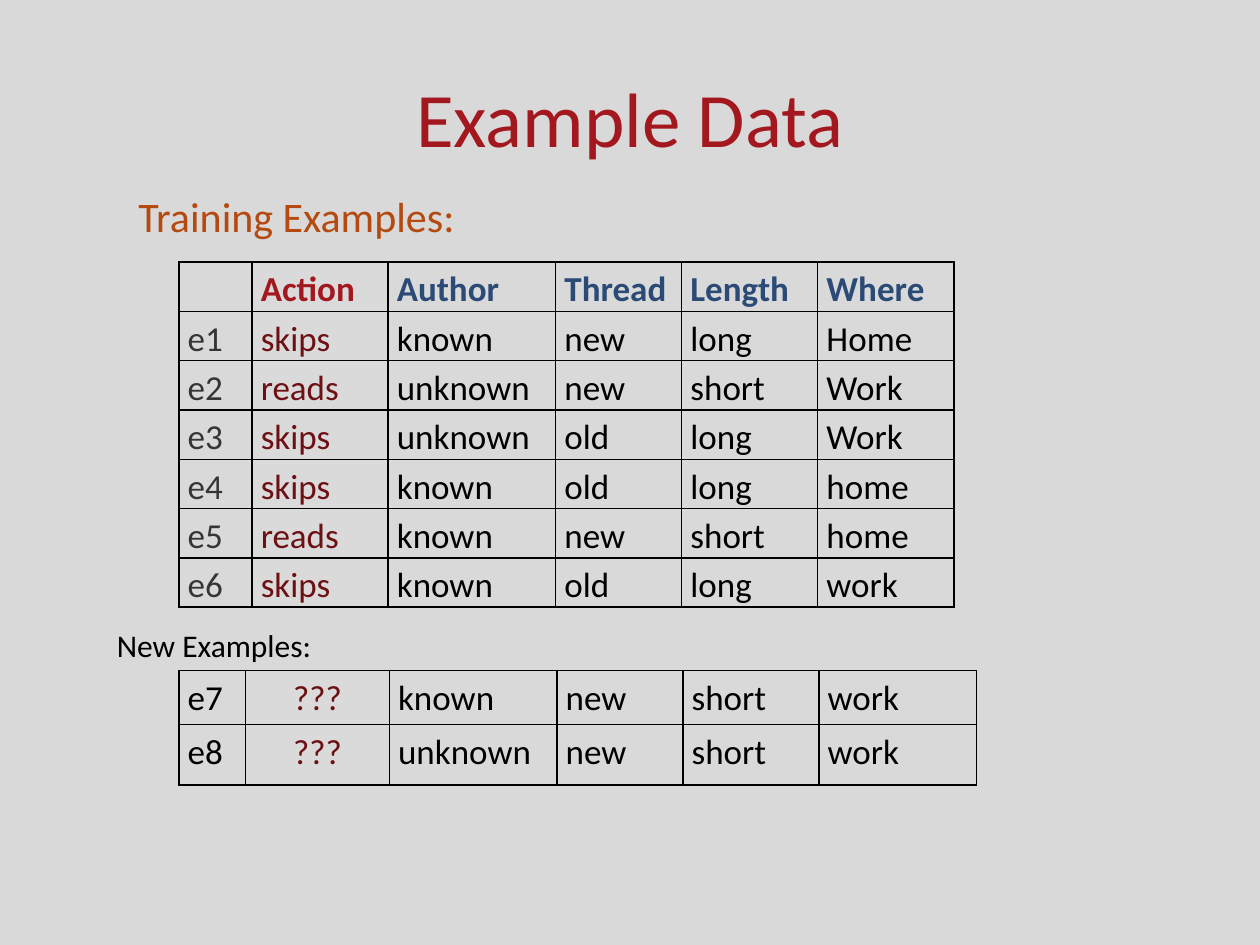
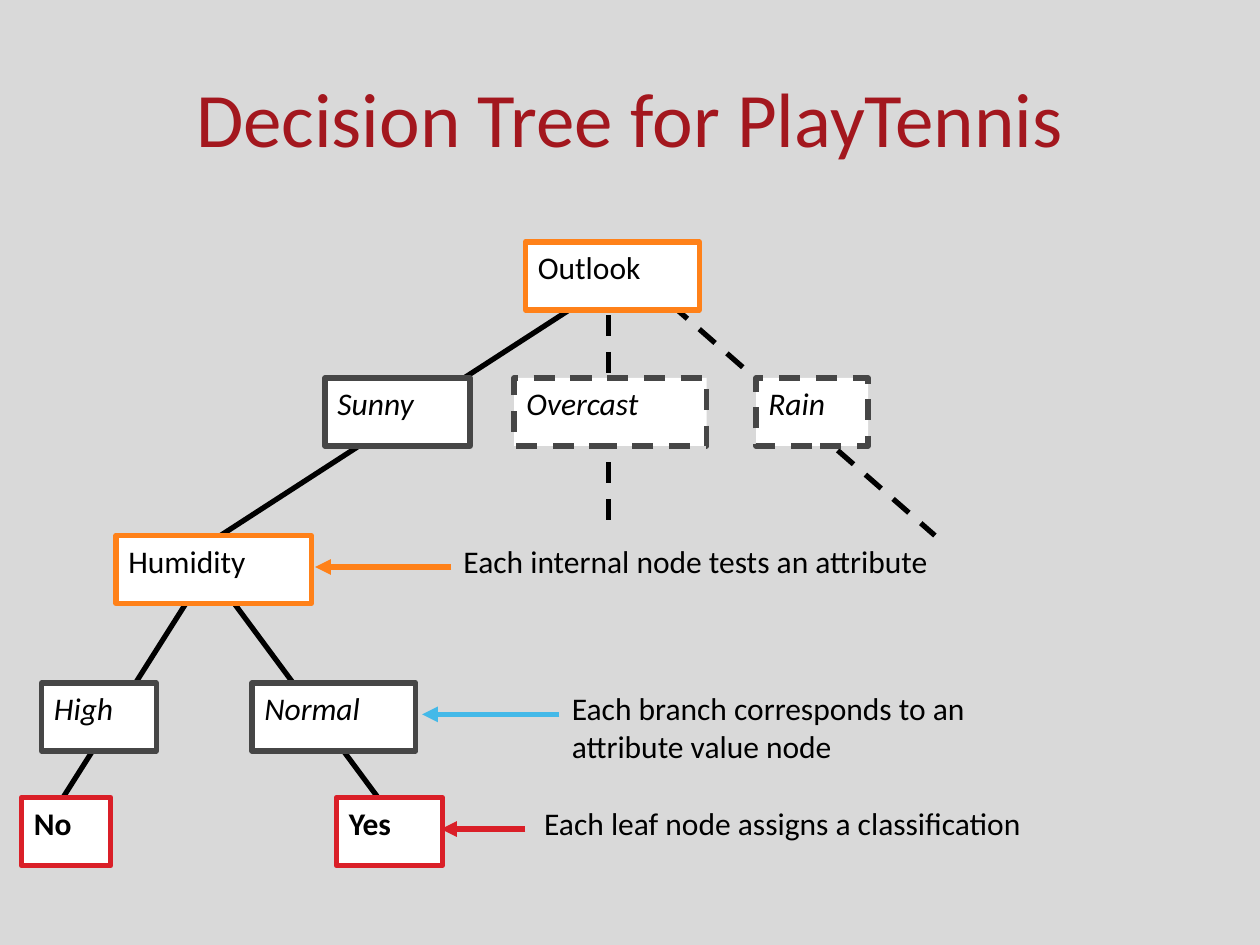
from dataclasses import dataclass

from lxml.etree import SubElement
from pptx import Presentation
from pptx.dml.color import RGBColor
from pptx.enum.dml import MSO_LINE_DASH_STYLE as Dash
from pptx.enum.shapes import MSO_CONNECTOR_TYPE as Connector, MSO_SHAPE as Shape
from pptx.enum.text import MSO_ANCHOR as Anchor, MSO_AUTO_SIZE as AutoSize, PP_ALIGN as Align
from pptx.oxml.ns import qn
from pptx.util import Inches, Pt


@dataclass(frozen=True)
class Theme:
    font: str = "Calibri"
    background: str = "D9D9D9"
    title: str = "A3171E"
    heading: str = "B54A10"
    attribute: str = "2B4A76"
    example: str = "353535"
    action: str = "6D1014"
    action_fill: str = "DADADA"
    text: str = "000000"
    box: str = "FFFFFF"
    test: str = "FF8119"
    value: str = "464646"
    leaf: str = "DA1F28"
    branch: str = "44B9E8"
    title_size: int = 44
    heading_size: int = 24
    table_size: int = 20
    body_size: int = 18
    stroke: int = 3


THEME = Theme()

HEADER = ["", "Action", "Author", "Thread", "Length", "Where"]
TRAINING = [
    ["e1", "skips", "known", "new", "long", "Home"],
    ["e2", "reads", "unknown", "new", "short", "Work"],
    ["e3", "skips", "unknown", "old", "long", "Work"],
    ["e4", "skips", "known", "old", "long", "home"],
    ["e5", "reads", "known", "new", "short", "home"],
    ["e6", "skips", "known", "old", "long", "work"],
]
NEW = [
    ["e7", "???", "known", "new", "short", "work"],
    ["e8", "???", "unknown", "new", "short", "work"],
]

OUTLOOK_TOP, WEATHER_TOP, HUMIDITY_TOP, LEVEL_TOP, LEAF_TOP = 1.92, 3, 4.25, 5.42, 6.33
NODE_HEIGHT = 0.54
BRANCHES = [
    ((4.58, 2.42), (1.75, HUMIDITY_TOP), None),
    ((5.33, 2.42), (7.42, HUMIDITY_TOP), Dash.DASH),
    ((1.5, 4.75), (0.5, LEAF_TOP), None),
    ((1.83, 4.75), (3, LEAF_TOP), None),
    ((4.83, 2.5), (4.83, HUMIDITY_TOP), Dash.DASH),
]
NODES = [
    ("Outlook", 4.17, OUTLOOK_TOP, 1.38, "test", None),
    ("Sunny", 2.58, WEATHER_TOP, 1.15, "value", None),
    ("Overcast", 4.08, WEATHER_TOP, 1.53, "value", Dash.DASH),
    ("Rain", 6, WEATHER_TOP, 0.89, "value", Dash.DASH),
    ("Humidity", 0.92, HUMIDITY_TOP, 1.55, "test", None),
    ("High", 0.33, LEVEL_TOP, 0.91, "value", None),
    ("Normal", 2, LEVEL_TOP, 1.3, "value", None),
    ("No", 0.17, LEAF_TOP, 0.71, "leaf", None),
    ("Yes", 2.67, LEAF_TOP, 0.84, "leaf", None),
]
NODE_FONTS = {"test": {}, "value": {"italic": True}, "leaf": {"bold": True}}
REMARKS = [
    (["Each internal node tests an attribute"],
     (3.58, HUMIDITY_TOP, 5.56, 0.5), 3.58, 2.5, THEME.test),
    (["Each branch corresponds to an", "attribute value node"],
     (4.44, LEVEL_TOP, 4.76, 0.9), 4.44, 3.35, THEME.branch),
    (["Each leaf node assigns a classification"],
     (4.22, LEAF_TOP, 5.78, 0.5), 4.17, 3.5, THEME.leaf),
]


def rgb(code):
    return RGBColor.from_string(code)


def apply(target, formats):
    for attribute, setting in formats.items():
        setattr(target, attribute, setting)


def inches(*lengths):
    return [Inches(length) for length in lengths]


def write(frame, lines, size, color, paragraph_format=None, **font_format):
    for index, line in enumerate(lines):
        paragraph = frame.paragraphs[0] if index == 0 else frame.add_paragraph()
        apply(paragraph, {"alignment": Align.LEFT, **(paragraph_format or {})})
        run = paragraph.add_run()
        run.text = line
        apply(run.font, {"name": THEME.font, "size": Pt(size), **font_format})
        run.font.color.rgb = rgb(color)


def style_frame(frame, anchor=Anchor.TOP):
    apply(frame, {"word_wrap": True, "auto_size": AutoSize.NONE, "vertical_anchor": anchor})


def add_titled_slide(deck, title):
    slide = deck.slides.add_slide(deck.slide_layouts.get_by_name("Title Only"))
    heading = slide.shapes.title
    apply(heading, dict(zip(("left", "top", "width", "height"), inches(0.5, 0.3, 9, 1.25))))
    style_frame(heading.text_frame, Anchor.MIDDLE)
    write(heading.text_frame, [title], THEME.title_size, THEME.title,
          {"alignment": Align.CENTER})
    return slide


def add_label(shapes, lines, place, size=THEME.body_size, color=THEME.text):
    label = shapes.add_textbox(*inches(*place))
    style_frame(label.text_frame)
    write(label.text_frame, lines, size, color)


def add_line(shapes, start, end, color=THEME.text, dash=None, arrow=False):
    link = shapes.add_connector(Connector.STRAIGHT, *inches(*start, *end))
    link.line.color.rgb = rgb(color)
    apply(link.line, {"width": Pt(THEME.stroke), "dash_style": dash})
    if arrow:
        SubElement(link.line._get_or_add_ln(), qn("a:tailEnd"), type="triangle")
    SubElement(link._element.spPr, qn("a:effectLst"))


def add_node(shapes, name, left, top, width, role, dash):
    node = shapes.add_shape(Shape.RECTANGLE, *inches(left, top, width, NODE_HEIGHT))
    node.shadow.inherit = False
    node.fill.solid()
    node.fill.fore_color.rgb = rgb(THEME.box)
    node.line.color.rgb = rgb(getattr(THEME, role))
    apply(node.line, {"width": Pt(THEME.stroke), "dash_style": dash})
    style_frame(node.text_frame)
    write(node.text_frame, [name], THEME.body_size, THEME.text, **NODE_FONTS[role])


def add_remark(shapes, lines, place, start, end, color):
    remark = shapes.add_group_shape()
    add_label(remark.shapes, lines, place)
    level = place[1] + 0.25
    add_line(remark.shapes, (start, level), (end, level), color, arrow=True)


def border_cell(cell):
    properties = cell._tc.get_or_add_tcPr()
    for side in ("lnL", "lnR", "lnT", "lnB"):
        edge = SubElement(properties, qn(f"a:{side}"), w=str(Pt(1)))
        fill = SubElement(edge, qn("a:solidFill"))
        SubElement(fill, qn("a:srgbClr"), val=THEME.text)


def fill_cell(cell, text, color, is_action, **formats):
    border_cell(cell)
    apply(cell, dict(zip(("margin_left", "margin_top", "margin_right", "margin_bottom"),
                         inches(0.07, 0, 0.07, 0))))
    if is_action:
        cell.fill.solid()
        cell.fill.fore_color.rgb = rgb(THEME.action_fill)
    else:
        cell.fill.background()
    if text:
        align = Align.CENTER if text == "???" else Align.LEFT
        write(cell.text_frame, [text], THEME.table_size, color,
              {"alignment": align, "line_spacing": 1.15}, **formats)


def add_examples(slide, records, left, top, widths, heights, example_color, header=False):
    frame = slide.shapes.add_table(len(records), len(widths),
                                   *inches(left, top, sum(widths), sum(heights)))
    table = frame.table
    apply(table, {"first_row": False, "horz_banding": False})
    for column, width in zip(table.columns, widths):
        column.width = Inches(width)
    for row, height in zip(table.rows, heights):
        row.height = Inches(height)
    header_colors = [THEME.text, THEME.title] + [THEME.attribute] * 4
    record_colors = [example_color, THEME.action] + [THEME.text] * 4
    for r, record in enumerate(records):
        is_header = header and r == 0
        colors = header_colors if is_header else record_colors
        for c, (text, color) in enumerate(zip(record, colors)):
            fill_cell(table.cell(r, c), text, color, c == 1, bold=is_header)


def build_example_data(deck):
    slide = add_titled_slide(deck, "Example Data")
    add_examples(slide, [HEADER] + TRAINING, 1.42, 2.08,
                 [0.58, 1.08, 1.33, 1, 1.08, 1.08], [0.39] * 7, THEME.example, header=True)
    add_examples(slide, NEW, 1.42, 5.32,
                 [0.53, 1.14, 1.33, 1, 1.08, 1.25], [0.43, 0.48], THEME.text)
    add_label(slide.shapes, ["Training Examples:"], (1, 1.46, 2.8, 0.5),
              THEME.heading_size, THEME.heading)
    add_label(slide.shapes, ["New Examples:"], (0.83, 4.92, 1.8, 0.4))


def build_decision_tree(deck):
    slide = add_titled_slide(deck, "Decision Tree for PlayTennis")
    for start, end, dash in BRANCHES:
        add_line(slide.shapes, start, end, dash=dash)
    for node in NODES:
        add_node(slide.shapes, *node)
    for remark in REMARKS:
        add_remark(slide.shapes, *remark)


def main():
    deck = Presentation()
    apply(deck, {"slide_width": Inches(10), "slide_height": Inches(7.5)})
    backdrop = deck.slide_master.background.fill
    backdrop.solid()
    backdrop.fore_color.rgb = rgb(THEME.background)
    build_example_data(deck)
    build_decision_tree(deck)
    deck.save("out.pptx")


main()
